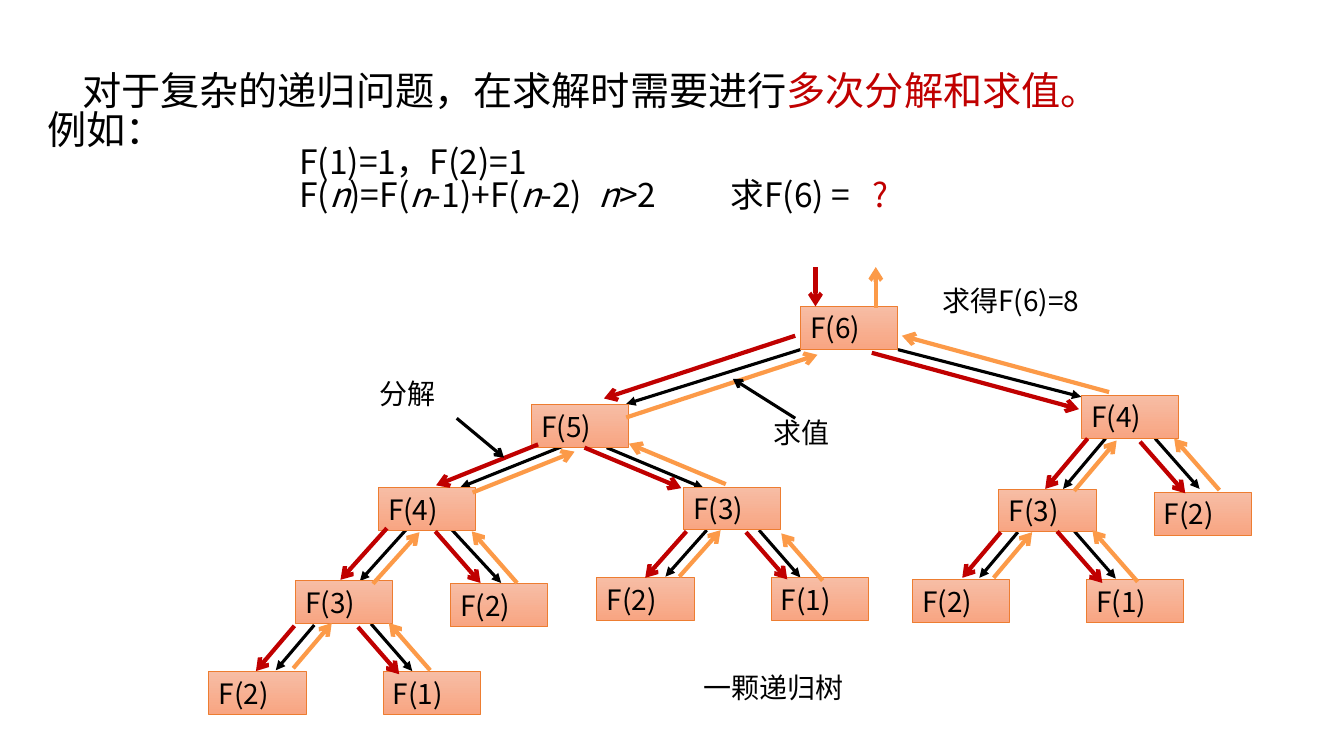
from dataclasses import dataclass

from lxml import etree
from pptx import Presentation
from pptx.dml.color import RGBColor
from pptx.enum.shapes import MSO_CONNECTOR, MSO_SHAPE
from pptx.enum.text import MSO_ANCHOR, PP_ALIGN
from pptx.oxml.ns import qn
from pptx.util import Cm, Pt

RECT = MSO_SHAPE.RECTANGLE
STRAIGHT = MSO_CONNECTOR.STRAIGHT
LEFT = PP_ALIGN.LEFT
TOP, MIDDLE = MSO_ANCHOR.TOP, MSO_ANCHOR.MIDDLE


@dataclass(frozen=True)
class Theme:
    font: str = "Noto Sans CJK SC"
    ink: str = "000000"
    split: str = "C00000"
    solve: str = "FC9A48"
    node_top: str = "F7BDA5"
    node_bottom: str = "F8A582"
    node_line: str = "ED7D31"
    title: int = 28
    formula: int = 24
    label: int = 20
    thin: float = 2.25
    thick: float = 3
    spacing: float = 0.84


@dataclass(frozen=True)
class Edge:
    call: tuple
    split: tuple
    solve: tuple
    step: tuple
    call_step: tuple = None


NODE_W, NODE_H = 2.45, 1.08
NODES = [
    (6, 20.17, 7.72),
    (5, 13.39, 10.19), (4, 27.25, 9.96),
    (4, 9.53, 12.29), (3, 17.22, 12.27), (3, 25.17, 12.32), (2, 29.08, 12.4),
    (3, 7.44, 14.63), (2, 11.35, 14.71), (2, 15.04, 14.55),
    (1, 19.43, 14.55), (2, 22.99, 14.61), (1, 27.38, 14.61),
    (2, 5.26, 16.92), (1, 9.65, 16.92),
]
EDGES = [
    Edge((20.17, 8.81), (20.04, 8.46), (20.6, 8.94), (-4.82, 1.58), (-4.39, 1.37)),
    Edge((22.63, 8.81), (21.97, 8.89), (22.73, 8.46), (5.22, 1.42), (4.62, 1.19)),
    Edge((14.17, 11.25), (13.56, 11.2), (14.48, 11.38), (-2.57, 1.03)),
    Edge((15.29, 11.28), (14.73, 11.28), (15.85, 11.18), (2.44, 1.02)),
    Edge((10.24, 13.34), (9.75, 13.31), (10.57, 13.41), (-1.17, 1.3)),
    Edge((11.38, 13.34), (10.97, 13.39), (11.89, 13.39), (1.14, 1.3), (1.25, 1.35)),
    Edge((7.92, 15.75), (7.42, 15.77), (8.36, 15.7), (-0.97, 1.14)),
    Edge((9.35, 15.72), (9.02, 15.8), (9.8, 15.7), (1.04, 1.19)),
    Edge((17.81, 13.36), (17.3, 13.39), (18.16, 13.36), (-1.04, 1.17)),
    Edge((19.13, 13.36), (18.8, 13.41), (19.69, 13.44), (1.04, 1.19)),
    Edge((27.86, 11.05), (27.41, 11.05), (28.14, 11.1), (-1.07, 1.27)),
    Edge((29.11, 11.05), (28.73, 11.13), (29.59, 11.05), (1.14, 1.3), (1.12, 1.27)),
    Edge((25.65, 13.41), (25.22, 13.41), (26.01, 13.41), (-0.97, 1.15)),
    Edge((27.08, 13.39), (26.64, 13.39), (27.53, 13.36), (1.14, 1.3), (1.04, 1.19)),
]
LABELS = [
    ("求得F(6)=8", 23.5, 7.01, 6.86),
    ("一颗递归树", 17.48, 16.76, 7.92),
    ("分解", 9.32, 9.35, 2.77),
    ("求值", 19.25, 10.34, 2.77),
]


class TreeSlide:
    def __init__(self, prs, theme):
        self.t = theme
        self.s = prs.slides.add_slide(prs.slide_layouts[6])

    def style(self, r, size, color=None, italic=False):
        r.font.size = Pt(size)
        r.font.name = self.t.font
        r.font.italic = italic
        r.font.color.rgb = RGBColor.from_string(color or self.t.ink)
        ea = etree.SubElement(r.font._element, qn("a:ea"))
        ea.set("typeface", self.t.font)

    def text(self, x, y, w, h, lines, size, spacing=None):
        sp = self.s.shapes.add_textbox(Cm(x), Cm(y), Cm(w), Cm(h))
        tf = sp.text_frame
        tf.word_wrap = True
        tf.vertical_anchor = TOP if spacing else MIDDLE
        for i, line in enumerate(lines):
            p = tf.add_paragraph() if i else tf.paragraphs[0]
            p.line_spacing = spacing
            for content, color, italic in line:
                r = p.add_run()
                r.text = content
                self.style(r, size, color, italic)
        return tf

    def indent(self, p, first):
        p._p.get_or_add_pPr().set("indent", str(Cm(first)))

    def tabs(self, p, stops):
        tab_list = etree.SubElement(p._p.get_or_add_pPr(), qn("a:tabLst"))
        for stop in stops:
            tab = etree.SubElement(tab_list, qn("a:tab"))
            tab.set("pos", str(Cm(stop)))
            tab.set("algn", "l")

    def node(self, n, x, y):
        sp = self.s.shapes.add_shape(RECT, Cm(x), Cm(y), Cm(NODE_W), Cm(NODE_H))
        sp.shadow.inherit = False
        sp.fill.gradient()
        sp.fill.gradient_angle = 270
        for stop, color in zip(sp.fill.gradient_stops, (self.t.node_top, self.t.node_bottom)):
            stop.color.rgb = RGBColor.from_string(color)
        sp.line.color.rgb = RGBColor.from_string(self.t.node_line)
        sp.line.width = Pt(0.5)
        tf = sp.text_frame
        tf.text = f"F({n})"
        tf.vertical_anchor = MIDDLE
        p = tf.paragraphs[0]
        p.alignment = LEFT
        self.style(p.runs[0], self.t.label)

    def arrow(self, start, step, color, width, head="arrow", end="tailEnd"):
        (x, y), (dx, dy) = start, step
        c = self.s.shapes.add_connector(STRAIGHT, Cm(x), Cm(y), Cm(x + dx), Cm(y + dy))
        c.line.color.rgb = RGBColor.from_string(color)
        c.line.width = Pt(width)
        etree.SubElement(c.line._get_or_add_ln(), qn(f"a:{end}")).set("type", head)
        etree.SubElement(c._element.spPr, qn("a:effectLst"))

    def split_arrow(self, start, step):
        self.arrow(start, step, self.t.split, self.t.thick)

    def solve_arrow(self, start, step):
        self.arrow(start, step, self.t.solve, self.t.thick, end="headEnd")

    def tree(self):
        for e in EDGES:
            self.arrow(e.call, e.call_step or e.step, self.t.ink, self.t.thin, "triangle")
        for node in NODES:
            self.node(*node)
        for e in EDGES:
            self.split_arrow(e.split, e.step)
            self.solve_arrow(e.solve, e.step)
        self.split_arrow((20.55, 6.73), (0, 0.99))
        self.solve_arrow((22.07, 6.73), (0, 1.02))


def main():
    prs = Presentation()
    prs.slide_width, prs.slide_height = Cm(33.87), Cm(19.05)
    t = Theme()
    s = TreeSlide(prs, t)

    formula = [(part, None, part == "n") for part in
               ("F(", "n", ")=F(", "n", "-1)+F(", "n", "-2)\t", "n", ">2\t求F(6) =\t")]
    tf = s.text(7.29, 3.58, 18.47, 2.31,
                [[("F(1)=1，F(2)=1", None, False)], formula + [("?", t.split, False)]],
                t.formula, t.spacing)
    s.tabs(tf.paragraphs[1], (7.55, 10.87, 14.45))

    tf = s.text(0.94, 1.73, 30, 2.64,
                [[("对于复杂的递归问题，在求解时需要进行", None, False),
                  ("多次分解和求值。", t.split, False)],
                 [("例如：", None, False)]],
                t.title, t.spacing)
    s.indent(tf.paragraphs[0], 0.88)

    s.tree()
    for content, x, y, w in LABELS:
        s.text(x, y, w, 1.12, [[(content, None, False)]], t.label)
    s.arrow((11.51, 10.54), (1.19, 0.99), t.ink, t.thin)
    s.arrow((20.04, 10.54), (-1.57, -0.99), t.ink, t.thin)
    prs.save("out.pptx")


if __name__ == "__main__":
    main()
